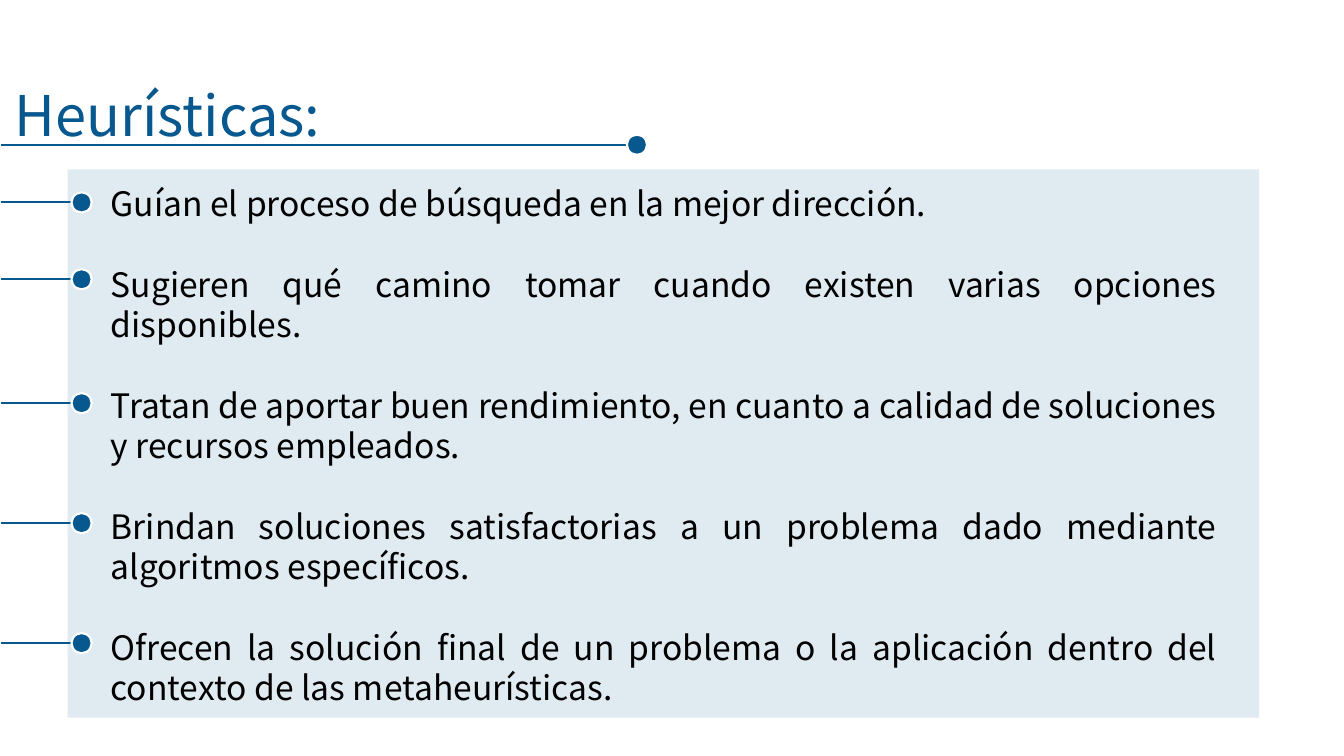
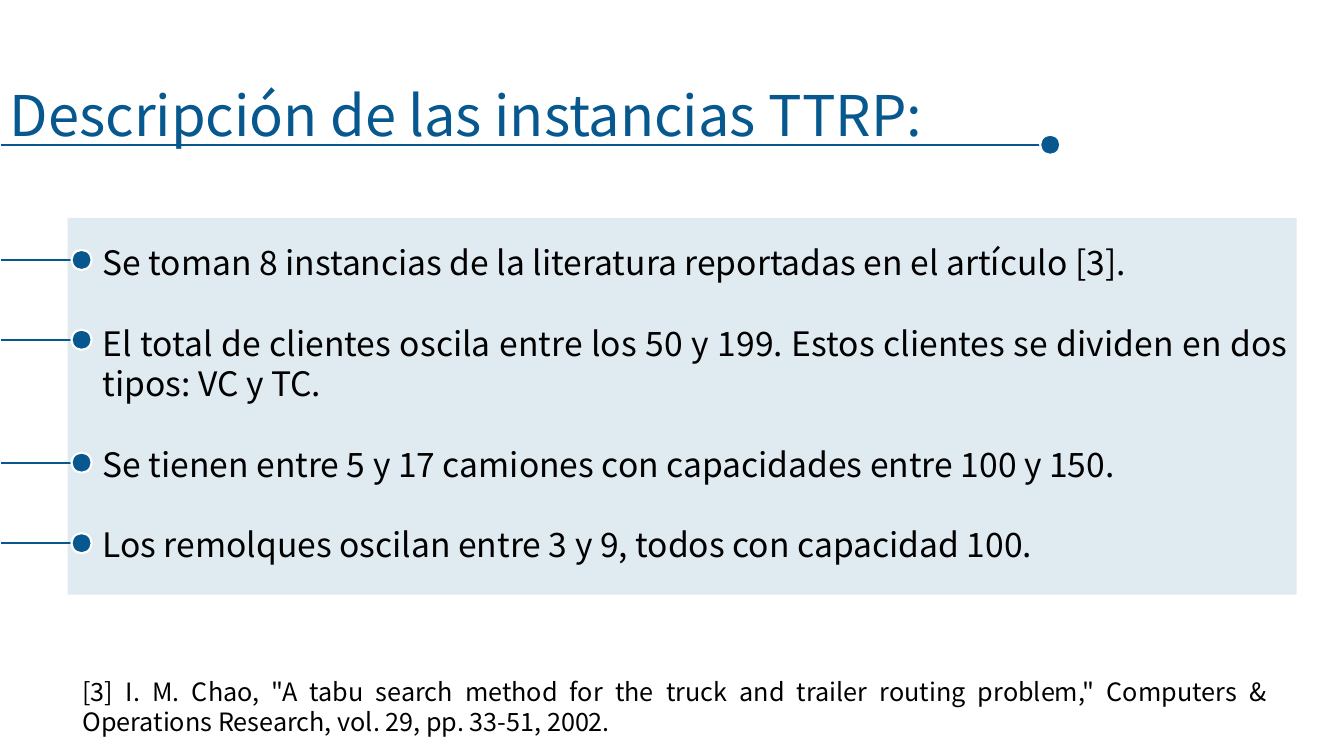
import pptx
import pptx.util
import pptx.dml.color
import pptx.enum.shapes
import pptx.enum.text
import pptx.oxml
import pptx.oxml.ns

Pt = pptx.util.Pt
RGBColor = pptx.dml.color.RGBColor
SHAPE = pptx.enum.shapes.MSO_SHAPE
ALIGN = pptx.enum.text.PP_ALIGN
qn = pptx.oxml.ns.qn

BLUE = RGBColor(0x07, 0x58, 0x8F)
WHITE = RGBColor(0xFF, 0xFF, 0xFF)
BLACK = RGBColor(0, 0, 0)
FONT = "Noto Sans CJK JP"
STROKE = 1.5
DOT = 14.4
GAP = 28.8
STEM = 58.3

HEURISTICS = [
    "Guían el proceso de búsqueda en la mejor dirección.",
    "Sugieren qué camino tomar cuando existen varias opciones disponibles.",
    "Tratan de aportar buen rendimiento, en cuanto a calidad de soluciones y recursos empleados.",
    "Brindan soluciones satisfactorias a un problema dado mediante algoritmos específicos.",
    "Ofrecen la solución final de un problema o la aplicación dentro del contexto de las metaheurísticas.",
]
CASES = [
    "Se toman 8 instancias de la literatura reportadas en el artículo [3].",
    "El total de clientes oscila entre los 50 y 199. Estos clientes se dividen en dos tipos: VC y TC.",
    "Se tienen entre 5 y 17 camiones con capacidades entre 100 y 150.",
    "Los remolques oscilan entre 3 y 9, todos con capacidad 100.",
]
SOURCE = (
    '[3] I. M. Chao, "A tabu search method for the truck and trailer routing problem," '
    "Computers & Operations Research, vol. 29, pp. 33-51, 2002."
)


def add_panel(slide, box):
    panel = slide.shapes.add_shape(SHAPE.RECTANGLE, *map(Pt, box))
    panel.shadow.inherit = False
    panel.fill.solid()
    panel.fill.fore_color.rgb = BLUE
    color = panel.fill._xPr.find(qn("a:solidFill"))[0]
    pptx.oxml.xmlchemy.OxmlElement("a:alpha")
    alpha = pptx.oxml.xmlchemy.OxmlElement("a:alpha")
    alpha.set("val", "12000")
    color.append(alpha)
    panel.line.fill.background()


def add_pin(slide, x, y):
    stem = slide.shapes.add_connector(
        pptx.enum.shapes.MSO_CONNECTOR.STRAIGHT, Pt(0.5), Pt(y), Pt(x), Pt(y)
    )
    stem.line.color.rgb = BLUE
    stem.line.width = Pt(STROKE)
    effect = pptx.oxml.xmlchemy.OxmlElement("a:effectLst")
    stem._element.spPr.append(effect)
    dot = slide.shapes.add_shape(
        SHAPE.OVAL, Pt(x - DOT / 2), Pt(y - DOT / 2), Pt(DOT), Pt(DOT)
    )
    dot.shadow.inherit = False
    dot.fill.solid()
    dot.fill.fore_color.rgb = BLUE
    dot.line.color.rgb = WHITE
    dot.line.width = Pt(STROKE)


def add_text(slide, box, lines, size, color=BLACK, align=ALIGN.JUSTIFY, wrap=True):
    frame = slide.shapes.add_textbox(*map(Pt, box)).text_frame
    frame.word_wrap = wrap
    for index, line in enumerate(lines):
        para = frame.add_paragraph() if index else frame.paragraphs[0]
        para.alignment = align
        if index:
            para.space_before = Pt(GAP)
        run = para.add_run()
        run.text = line
        run.font.name = FONT
        run.font.size = Pt(size)
        run.font.color.rgb = color


def add_title(slide, text, left, width, end):
    add_text(slide, (left, 54, width, 55.4), [text], 40, BLUE, ALIGN.LEFT, False)
    add_pin(slide, end, 103.4)


def add_list(slide, panel, box, lines, rows):
    add_panel(slide, panel)
    add_text(slide, box, lines, 24)
    for row in rows:
        add_pin(slide, STEM, row)


def main():
    deck = pptx.Presentation()
    deck.slide_width, deck.slide_height = Pt(960), Pt(540)
    blank = deck.slide_layouts[6]

    slide = deck.slides.add_slide(blank)
    add_list(
        slide, (48.4, 121, 851, 391.6), (72, 127.4, 804.2, 385.2),
        HEURISTICS, (144.6, 199.5, 288, 373.7, 459.4),
    )
    add_title(slide, "Heurísticas:", 3.6, 236.9, 455)

    slide = deck.slides.add_slide(blank)
    add_list(
        slide, (48.4, 155.6, 877.8, 269.2), (66.2, 169.2, 860.4, 239.8),
        CASES, (185.7, 242.7, 330.5, 388),
    )
    add_title(slide, "Descripción de las instancias TTRP:", 0, 686.2, 750.2)
    add_text(slide, (51.8, 479.5, 860.4, 51.1), [SOURCE], 18)

    deck.save("out.pptx")


if __name__ == "__main__":
    main()
